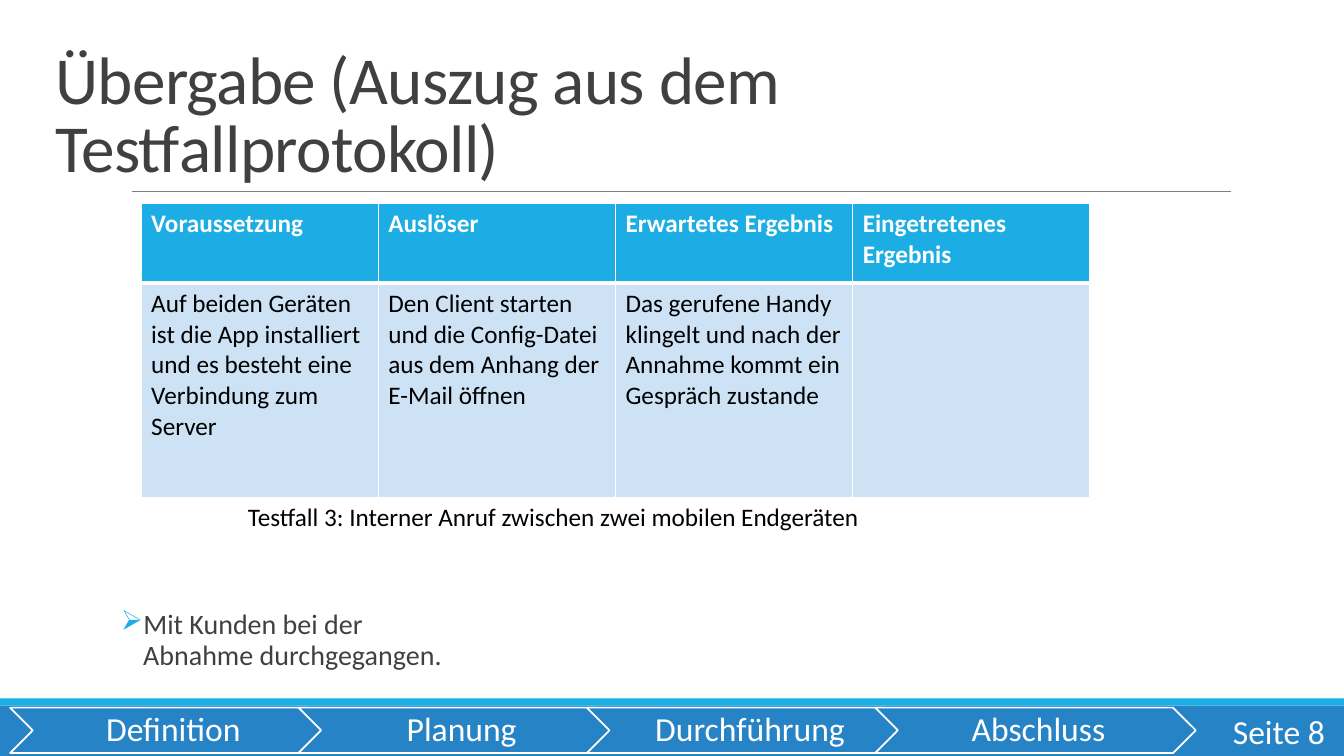
import dataclasses

import lxml.etree
import pptx
import pptx.dml.color
import pptx.enum.shapes
import pptx.enum.text
import pptx.oxml.ns
import pptx.util

Inches = pptx.util.Inches
Pt = pptx.util.Pt
RGB = pptx.dml.color.RGBColor.from_string
SHAPE = pptx.enum.shapes.MSO_SHAPE
ALIGN = pptx.enum.text.PP_ALIGN
ANCHOR = pptx.enum.text.MSO_ANCHOR
qn = pptx.oxml.ns.qn


@dataclasses.dataclass(frozen=True)
class Theme:
    """Colours, font and type sizes of the slide."""
    font: str = "Calibri"
    blue: str = "2683C6"
    cyan: str = "1CADE4"
    pale: str = "CDE3F5"
    white: str = "FFFFFF"
    black: str = "000000"
    dark: str = "404040"
    grey: str = "808080"
    title: int = 48
    nav: int = 24
    body: int = 20
    table: int = 18


THEME = Theme()
TITLE = "Übergabe (Auszug aus dem Testfallprotokoll)"
PHASES = ["Definition", "Planung", "Durchführung", "Abschluss"]
TEST_CASE = [
    ["Voraussetzung", "Auslöser", "Erwartetes Ergebnis", "Eingetretenes Ergebnis"],
    ["Auf beiden Geräten ist die App installiert und es besteht eine Verbindung zum Server",
     "Den Client starten und die Config-Datei aus dem Anhang der E-Mail öffnen",
     "Das gerufene Handy klingelt und nach der Annahme kommt ein Gespräch zustande",
     ""],
]
CAPTION = "Testfall 3: Interner Anruf zwischen zwei mobilen Endgeräten"
NOTE = "Mit Kunden bei der\vAbnahme durchgegangen."


def apply(obj, values):
    """Set each attribute of obj from a dict."""
    for name, value in values.items():
        setattr(obj, name, value)


def place(sp, box):
    """Move a shape to a box in inches."""
    apply(sp, dict(zip(("left", "top", "width", "height"), map(Inches, box))))


def write(tf, text, size, color, frame=None, para=None, bold=False):
    """Fill a text frame with one formatted paragraph and return it."""
    apply(tf, {"word_wrap": True, **(frame or {})})
    p = tf.paragraphs[0]
    p.text = text
    apply(p, para or {})
    for r in p.runs:
        apply(r.font, {"name": THEME.font, "size": Pt(size), "bold": bold})
        r.font.color.rgb = RGB(color)
    return p


def add_text(s, box, text, size, color, **formats):
    """Add a text box and return its paragraph."""
    sp = s.shapes.add_textbox(*map(Inches, box))
    return write(sp.text_frame, text, size, color, **formats)


def add_block(s, kind, box, fill, line=None):
    """Add a flat filled shape, outlined when a line colour is given."""
    sp = s.shapes.add_shape(kind, *map(Inches, box))
    sp.shadow.inherit = False
    sp.fill.solid()
    sp.fill.fore_color.rgb = RGB(fill)
    if line:
        sp.line.color.rgb = RGB(line)
        sp.line.width = Pt(1.25)
    else:
        sp.line.fill.background()
    return sp


def add_title(s, box):
    """Format the title placeholder and draw the rule below it."""
    x, y, w, h = box
    place(s.shapes.title, box)
    p = write(s.shapes.title.text_frame, TITLE, THEME.title, THEME.dark,
              frame={"vertical_anchor": ANCHOR.BOTTOM,
                     "auto_size": pptx.enum.text.MSO_AUTO_SIZE.NONE},
              para={"alignment": ALIGN.LEFT, "line_spacing": 0.85})
    for r in p.runs:
        r.font._element.set("spc", "-50")
    rule = s.shapes.add_connector(pptx.enum.shapes.MSO_CONNECTOR.STRAIGHT,
                                  *map(Inches, (x + 0.86, y + h, x + w + 0.01, y + h)))
    rule.line.color.rgb = RGB(THEME.grey)
    rule.line.width = Pt(0.5)
    lxml.etree.SubElement(rule._element.spPr, qn("a:effectLst"))


def add_border(cell, side, width):
    """Draw one white border of a table cell."""
    ln = lxml.etree.SubElement(cell._tc.get_or_add_tcPr(), qn(f"a:ln{side}"), w=str(Pt(width)))
    fill = lxml.etree.SubElement(ln, qn("a:solidFill"))
    lxml.etree.SubElement(fill, qn("a:srgbClr"), val=THEME.white)


def add_test_case(s, box):
    """Add the test case table with its caption below."""
    x, y, w, h = box
    table = s.shapes.add_table(len(TEST_CASE), len(TEST_CASE[0]), *map(Inches, box)).table
    header_h = 0.79
    for row, height in zip(table.rows, (header_h, h - header_h)):
        row.height = Inches(height)
    for i, texts in enumerate(TEST_CASE):
        header = i == 0
        for j, text in enumerate(texts):
            cell = table.cell(i, j)
            for side in "LRTB":
                joint = side == ("B" if header else "T")
                add_border(cell, side, 3 if joint else 1)
            cell.fill.solid()
            cell.fill.fore_color.rgb = RGB(THEME.cyan if header else THEME.pale)
            write(cell.text_frame, text, THEME.table,
                  THEME.white if header else THEME.black, bold=header)
    add_text(s, (x + 0.96, y + h - 0.02, 9.84, 0.4), CAPTION, THEME.table, THEME.black)


def add_note(s, box):
    """Add the note with an arrow bullet and a hanging indent."""
    p = add_text(s, box, NOTE, THEME.body, THEME.dark,
                 frame={"margin_left": 0, "margin_right": 0},
                 para={"line_spacing": 0.9})
    pPr = p._p.get_or_add_pPr()
    indent = Inches(0.22)
    pPr.set("marL", str(indent))
    pPr.set("indent", str(-indent))
    color = lxml.etree.SubElement(pPr, qn("a:buClr"))
    lxml.etree.SubElement(color, qn("a:srgbClr"), val=THEME.cyan)
    lxml.etree.SubElement(pPr, qn("a:buChar"), char="➢")


def add_footer(s, box):
    """Add the footer bars, the phase chevrons and the page number."""
    x, y, w, h = box
    stripe_h, pitch = 0.07, 2.86
    add_block(s, SHAPE.RECTANGLE, (x, y + stripe_h, w, h - stripe_h), THEME.blue)
    add_block(s, SHAPE.RECTANGLE, (x, y, w, stripe_h), THEME.cyan)
    for i, phase in enumerate(PHASES):
        sp = add_block(s, SHAPE.CHEVRON, (x + 0.1 + i * pitch, y + 0.09, 3.18, 0.45),
                       THEME.blue, THEME.white)
        write(sp.text_frame, phase, THEME.nav, THEME.white,
              frame={"vertical_anchor": ANCHOR.MIDDLE, "margin_left": Inches(0.1),
                     "margin_right": Inches(0.04), "margin_top": Inches(0.04),
                     "margin_bottom": Inches(0.04)},
              para={"alignment": ALIGN.CENTER, "line_spacing": 0.9})
    add_text(s, (x + w - 1.52, y + 0.12, 1.43, 0.4), "Seite 8", THEME.nav, THEME.white,
             frame={"vertical_anchor": ANCHOR.MIDDLE}, para={"alignment": ALIGN.RIGHT})


def main():
    """Build the slide and save it."""
    prs = pptx.Presentation()
    apply(prs, {"slide_width": Inches(13.33), "slide_height": Inches(7.5)})
    s = prs.slides.add_slide(prs.slide_layouts.get_by_name("Title Only"))
    add_footer(s, (0, 6.93, 13.33, 0.57))
    add_title(s, (0.45, 0.31, 11.75, 1.59))
    add_test_case(s, (1.4, 2.02, 9.41, 2.92))
    add_note(s, (1.2, 6.01, 6.38, 0.8))
    prs.save("out.pptx")


if __name__ == "__main__":
    main()
